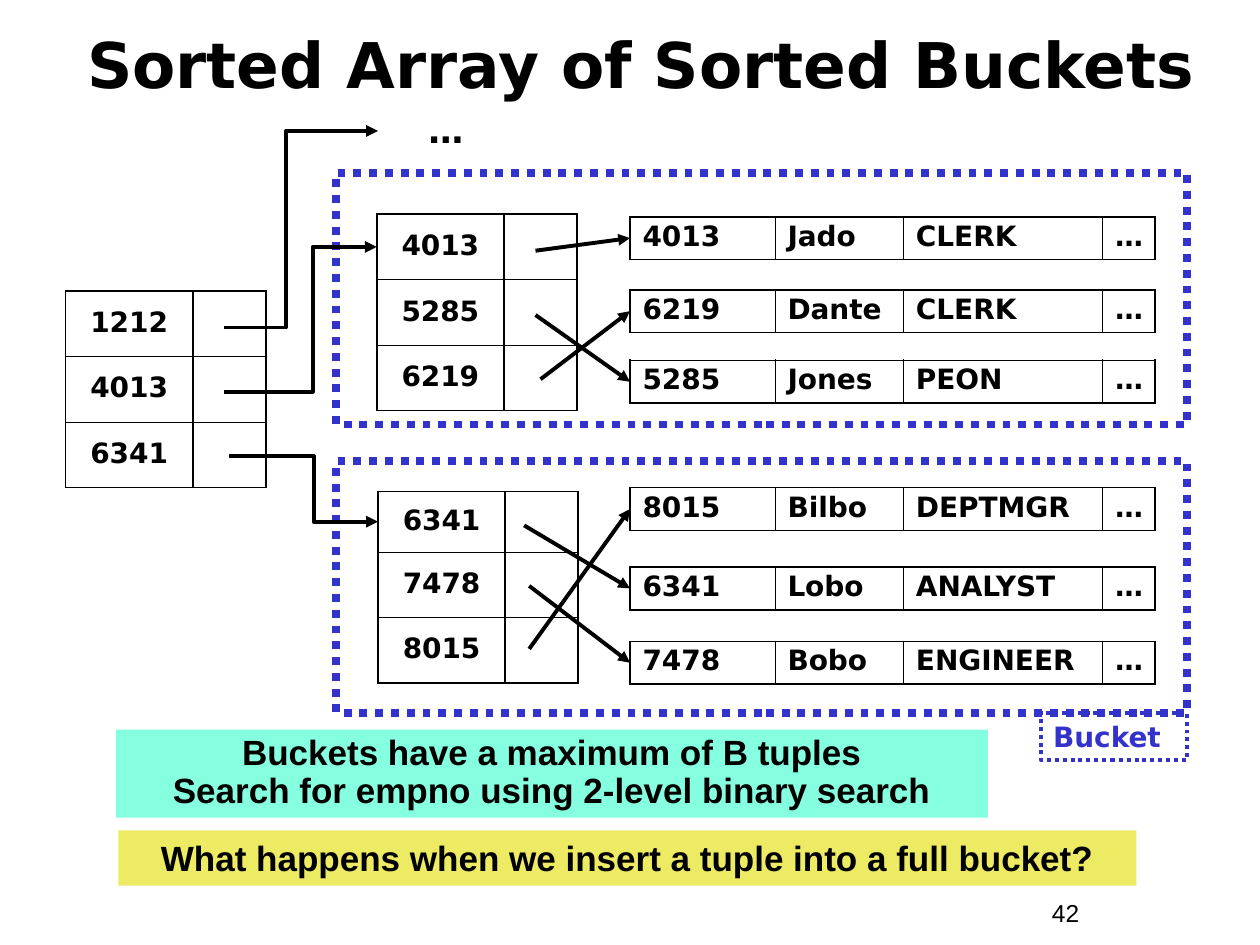
from lxml import etree
from pptx import Presentation
from pptx.dml.color import RGBColor
from pptx.enum import dml, shapes, text
from pptx.oxml import ns
from pptx.util import Inches, Pt


class Theme:
    black, blue, mint, yellow = "000000", "3333CC", "85FFDF", "EDEA63"
    heading, body = "DejaVu Sans", "Arial"
    title, note, cell, number = 36, 20, 16, 14
    thick, thin, arrow = 1.08, 0.45, 2.25


# Content: (left, top, keys, row heights) of each sorted index
ROW = 0.52
INDEXES = [
    (0.52, 2.31, ["1212", "4013", "6341"], [ROW] * 3),
    (2.99, 1.70, ["4013", "5285", "6219"], [ROW] * 3),
    (3.00, 3.90, ["6341", "7478", "8015"], [0.48, ROW, ROW]),
]
INDEX_COLUMNS = [1.01, 0.58]

# Tuples: top, fields, and the start of the arrow that points at the tuple
RECORDS = [
    (1.72, ["4013", "Jado", "CLERK", "…"], (4.25, 1.99)),
    (2.30, ["6219", "Dante", "CLERK", "…"], (4.29, 3.01)),
    (2.86, ["5285", "Jones", "PEON", "…"], (4.25, 2.50)),
    (3.87, ["8015", "Bilbo", "DEPTMGR", "…"], (4.20, 5.15)),
    (4.50, ["6341", "Lobo", "ANALYST", "…"], (4.16, 4.17)),
    (5.09, ["7478", "Bobo", "ENGINEER", "…"], (4.20, 4.65)),
]
RECORD_LEFT, RECORD_HEIGHT = 5, 0.34
RECORD_COLUMNS = [1.15, 1.02, 1.58, 0.42]

# Elbow arrows from the top index: start, end, position of the bend
ELBOWS = [
    ((1.78, 2.60), (3.00, 1.04), 0.402),
    ((1.78, 3.11), (2.99, 1.96), 0.58),
    ((1.82, 3.62), (3.00, 4.14), 0.567),
]

BUCKET_LEFT, BUCKET_TOPS, BUCKET_SIZE = 2.67, [1.37, 3.66], (6.75, 2)

# Boxes: place, wording, fill, outline, font, size, colour, alignment
CENTER, LEFT = text.PP_ALIGN.CENTER, text.PP_ALIGN.LEFT
BOXES = [
    ((8.26, 5.66, 1.16, 0.37), "Bucket", None, Theme.blue,
     Theme.heading, Theme.cell, Theme.blue, LEFT),
    ((3, 0.81, 1.08, 0.44), "…", None, None,
     Theme.heading, Theme.note, Theme.black, CENTER),
    ((0.92, 5.79, 6.92, 0.7),
     "Buckets have a maximum of B tuples\vSearch for empno using 2-level binary search",
     Theme.mint, None, Theme.body, Theme.note, Theme.black, CENTER),
    ((0.94, 6.59, 8.08, 0.44), "What happens when we insert a tuple into a full bucket?",
     Theme.yellow, None, Theme.body, Theme.note, Theme.black, CENTER),
]


def color(value):
    return RGBColor.from_string(value)


def inches(values):
    return [Inches(value) for value in values]


def write(frame, wording, font, size, ink=Theme.black, align=LEFT, bold=True, spacing=None):
    frame.text = wording
    para = frame.paragraphs[0]
    para.alignment = align
    para.line_spacing = spacing
    for span in para.runs:
        span.font.name, span.font.size, span.font.bold = font, Pt(size), bold
        span.font.color.rgb = color(ink)


def add_rectangle(page, place, fill=None, outline=None, width=0):
    box = page.shapes.add_shape(shapes.MSO_SHAPE.RECTANGLE, *inches(place))
    box.shadow.inherit = False
    if fill:
        box.fill.solid()
        box.fill.fore_color.rgb = color(fill)
    else:
        box.fill.background()
    if outline:
        box.line.color.rgb = color(outline)
        box.line.width = Pt(width)
        box.line.dash_style = dml.MSO_LINE.ROUND_DOT
    else:
        box.line.fill.background()
    return box


def set_borders(cell, widths):
    properties = cell._tc.get_or_add_tcPr()
    for side, width in zip("LRTB", widths):
        line = etree.SubElement(properties, ns.qn(f"a:ln{side}"), w=str(Pt(width)))
        fill = etree.SubElement(line, ns.qn("a:solidFill"))
        etree.SubElement(fill, ns.qn("a:srgbClr"), val=Theme.black)


def add_grid(page, left, top, columns, heights, rows, align, anchor, divider):
    place = inches([left, top, sum(columns), sum(heights)])
    grid = page.shapes.add_table(len(rows), len(columns), *place).table
    grid.first_row = grid.horz_banding = False
    for column, width in zip(grid.columns, columns):
        column.width = Inches(width)
    last_row, last_column = len(rows) - 1, len(columns) - 1
    for r, row in enumerate(rows):
        grid.rows[r].height = Inches(heights[r])
        for c, wording in enumerate(row):
            cell = grid.cell(r, c)
            set_borders(cell, [
                Theme.thick if c == 0 else divider,
                Theme.thick if c == last_column else divider,
                Theme.thick if r == 0 else Theme.thin,
                Theme.thick if r == last_row else Theme.thin,
            ])
            cell.fill.background()
            cell.vertical_anchor = anchor
            if wording:
                write(cell.text_frame, wording, Theme.heading, Theme.cell,
                      align=align, spacing=0.9)


def add_arrow(page, start, end, bend=None):
    kind = shapes.MSO_CONNECTOR.ELBOW if bend else shapes.MSO_CONNECTOR.STRAIGHT
    arrow = page.shapes.add_connector(kind, *inches(start + end))
    arrow.line.color.rgb = color(Theme.black)
    arrow.line.width = Pt(Theme.arrow)
    properties = arrow._element.spPr
    etree.SubElement(properties.find(ns.qn("a:ln")), ns.qn("a:tailEnd"), type="triangle")
    etree.SubElement(properties, ns.qn("a:effectLst"))
    if bend:
        guides = properties.find(ns.qn("a:prstGeom")).get_or_add_avLst()
        etree.SubElement(guides, ns.qn("a:gd"), name="adj1", fmla=f"val {round(bend * 100000)}")


def main():
    deck = Presentation()
    deck.slide_width, deck.slide_height = Inches(10), Inches(7.5)
    page = deck.slides.add_slide(deck.slide_layouts[5])

    # Title
    title = page.shapes.title
    title.left, title.top, title.width, title.height = inches([0.42, 0.08, 9.33, 0.85])
    write(title.text_frame, "Sorted Array of Sorted Buckets", Theme.heading,
          Theme.title, align=CENTER)
    title.text_frame.vertical_anchor = text.MSO_ANCHOR.MIDDLE

    # Bucket outlines
    for top in BUCKET_TOPS:
        add_rectangle(page, (BUCKET_LEFT, top, *BUCKET_SIZE), outline=Theme.blue, width=4.5)

    # Indexes and tuples
    for left, top, keys, heights in INDEXES:
        add_grid(page, left, top, INDEX_COLUMNS, heights, [[key, ""] for key in keys],
                 CENTER, text.MSO_ANCHOR.MIDDLE, Theme.thick)
    for top, fields, _ in RECORDS:
        add_grid(page, RECORD_LEFT, top, RECORD_COLUMNS, [RECORD_HEIGHT], [fields],
                 LEFT, text.MSO_ANCHOR.TOP, Theme.thin)

    # Arrows
    for top, _, start in RECORDS:
        add_arrow(page, start, (RECORD_LEFT, top + RECORD_HEIGHT / 2))
    for start, end, bend in ELBOWS:
        add_arrow(page, start, end, bend)

    # Label, ellipsis and notes
    for place, wording, fill, outline, font, size, ink, align in BOXES:
        box = add_rectangle(page, place, fill, outline, Theme.arrow)
        box.text_frame.vertical_anchor = text.MSO_ANCHOR.TOP
        write(box.text_frame, wording, font, size, ink, align,
              spacing=0.9 if "\v" in wording else None)

    # Page number
    number = page.shapes.add_textbox(*inches([8.25, 7.08, 0.92, 0.34]))
    number.text_frame.word_wrap = True
    write(number.text_frame, "42", Theme.body, Theme.number, bold=False)

    deck.save("out.pptx")


if __name__ == "__main__":
    main()
